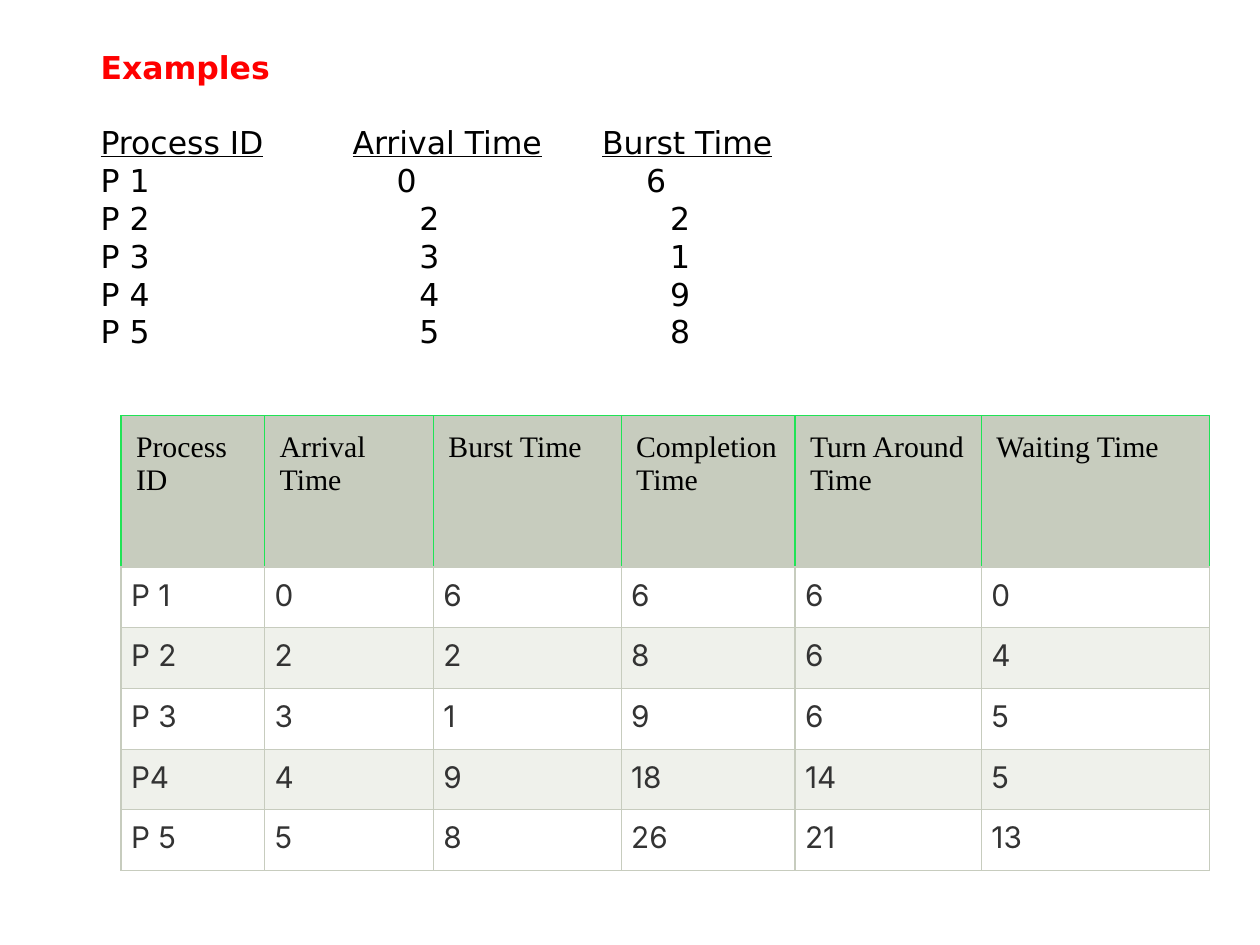
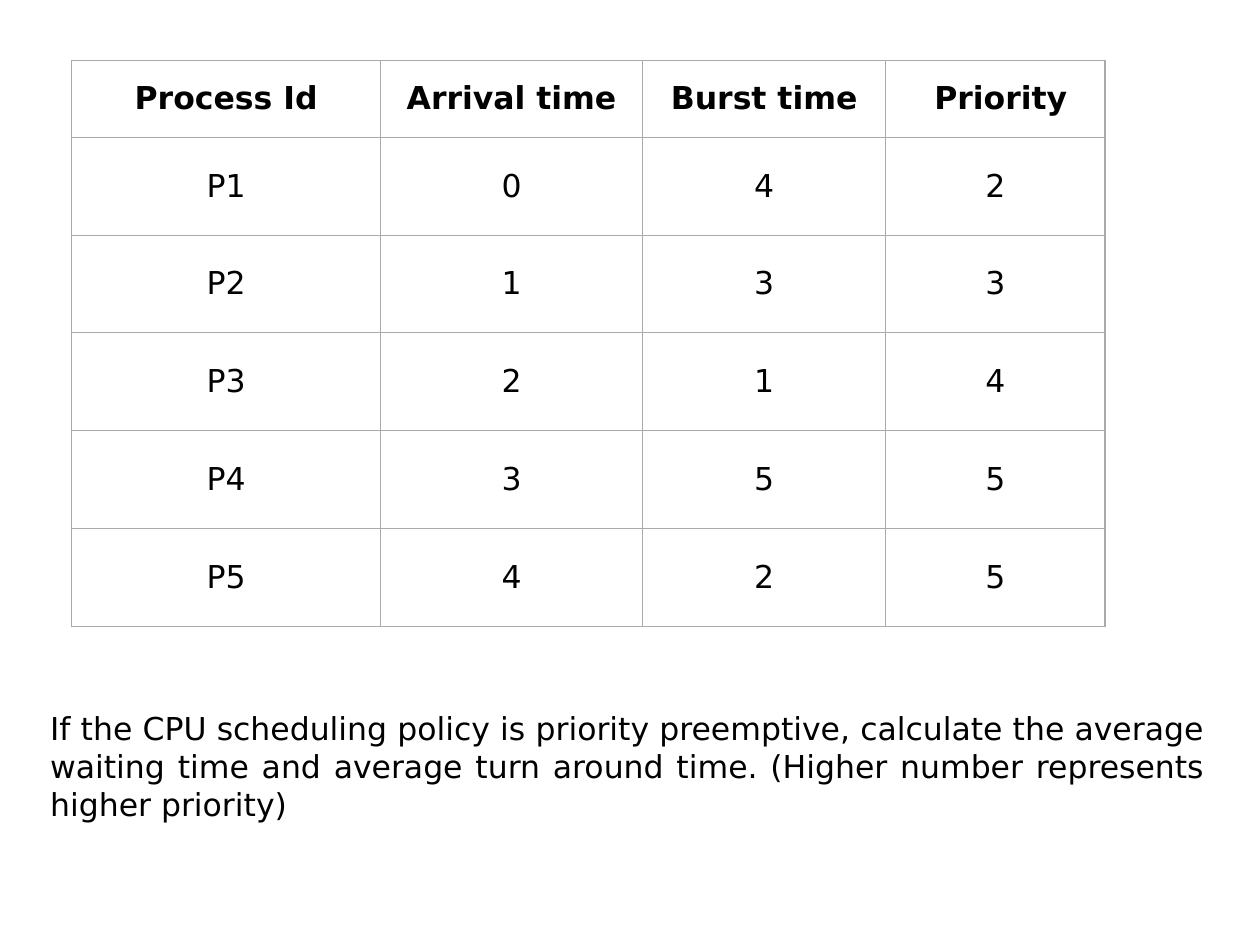
from dataclasses import dataclass

from lxml import etree
from pptx import Presentation
from pptx import util as u
from pptx.dml.color import RGBColor
from pptx.enum import text
from pptx.oxml.ns import qn

PX = 9144


def px(length):
    return u.Emu(round(length * PX))


@dataclass(frozen=True)
class TextStyle:
    font: str
    size: int
    color: str
    bold: bool = False


@dataclass(frozen=True)
class TableStyle:
    header: TextStyle
    body: TextStyle
    header_fill: str
    body_fills: tuple
    line: str
    header_line: str
    header_margins: tuple
    body_margins: tuple
    header_align: text.PP_ALIGN
    body_align: text.PP_ALIGN
    anchor: text.MSO_ANCHOR


class Theme:
    red, black, white, charcoal = "FF0000", "000000", "FFFFFF", "333333"
    sage, pale_sage, green, grey = "C7CCBE", "EFF1EB", "20E356", "AAAAAA"
    sans = "DejaVu Sans"
    text_size, table_size = 18, 17
    line_width = 0.75
    heading = TextStyle(sans, text_size, red, True)
    strong = TextStyle(sans, text_size, black, True)
    plain = TextStyle(sans, text_size, black)
    sage_table = TableStyle(
        header=TextStyle("Times New Roman", table_size, black),
        body=TextStyle("Inter", table_size, charcoal),
        header_fill=sage, body_fills=(white, pale_sage),
        line=sage, header_line=green,
        header_margins=(12, 12), body_margins=(8, 8),
        header_align=text.PP_ALIGN.LEFT, body_align=text.PP_ALIGN.JUSTIFY,
        anchor=text.MSO_ANCHOR.TOP)
    plain_table = TableStyle(
        header=strong, body=plain,
        header_fill=white, body_fills=(white,),
        line=grey, header_line=grey,
        header_margins=(10, 8), body_margins=(10, 8),
        header_align=text.PP_ALIGN.CENTER, body_align=text.PP_ALIGN.CENTER,
        anchor=text.MSO_ANCHOR.MIDDLE)


class Deck:
    def __init__(self, theme, width, height):
        self.theme = theme
        self.presentation = Presentation()
        self.presentation.slide_width = px(width)
        self.presentation.slide_height = px(height)
        self.slide = None

    def add_slide(self):
        self.slide = self.presentation.slides.add_slide(self.presentation.slide_layouts[6])
        fill = self.slide.background.fill
        fill.solid()
        fill.fore_color.rgb = RGBColor.from_string(self.theme.white)

    def add_run(self, paragraph, words, style, underline=False):
        run = paragraph.add_run()
        run.text = words
        font = run.font
        font.name, font.size, font.bold = style.font, u.Pt(style.size), style.bold
        font.color.rgb = RGBColor.from_string(style.color)
        font.underline = underline

    def add_text_box(self, left, top, width, height):
        shape = self.slide.shapes.add_textbox(*map(px, (left, top, width, height)))
        frame = shape.text_frame
        frame.word_wrap = True
        frame.auto_size = text.MSO_AUTO_SIZE.SHAPE_TO_FIT_TEXT
        return frame

    def set_tabs(self, paragraph, stops):
        properties = paragraph._p.get_or_add_pPr()
        tabs = etree.SubElement(properties, qn("a:tabLst"))
        for stop in stops:
            etree.SubElement(tabs, qn("a:tab"), pos=str(px(stop)), algn="l")

    def set_borders(self, cell, colors):
        properties = cell._tc.get_or_add_tcPr()
        for index, (side, color) in enumerate(zip("LRTB", colors)):
            line = etree.Element(qn(f"a:ln{side}"), w=str(u.Pt(self.theme.line_width)))
            fill = etree.SubElement(line, qn("a:solidFill"))
            etree.SubElement(fill, qn("a:srgbClr"), val=color)
            properties.insert(index, line)

    def fill_cell(self, cell, words, row, style):
        if row == 0:
            font, fill, align = style.header, style.header_fill, style.header_align
            margins, edge = style.header_margins, style.header_line
        else:
            font, align = style.body, style.body_align
            fill = style.body_fills[(row - 1) % len(style.body_fills)]
            margins, edge = style.body_margins, style.line
        cell.fill.solid()
        cell.fill.fore_color.rgb = RGBColor.from_string(fill)
        cell.margin_left = cell.margin_right = px(margins[0])
        cell.margin_top = cell.margin_bottom = px(margins[1])
        cell.vertical_anchor = style.anchor
        self.set_borders(cell, (edge, edge, edge, style.line))
        paragraph = cell.text_frame.paragraphs[0]
        paragraph.alignment = align
        self.add_run(paragraph, words, font)

    def add_table(self, left, top, height, header_height, widths, rows, style):
        shape = self.slide.shapes.add_table(
            len(rows), len(widths), px(left), px(top), px(sum(widths)), px(height))
        table = shape.table
        table.first_row = table.horz_banding = False
        for column, width in zip(table.columns, widths):
            column.width = px(width)
        body_height = (height - header_height) / (len(rows) - 1)
        for index, values in enumerate(rows):
            table.rows[index].height = px(body_height if index else header_height)
            for column, value in enumerate(values):
                self.fill_cell(table.cell(index, column), str(value), index, style)


def build_examples(deck):
    theme = deck.theme
    deck.add_slide()
    frame = deck.add_text_box(70, 33, 886, 252)
    heading = frame.paragraphs[0]
    heading.space_after = px(30)
    deck.add_run(heading, "Examples", theme.heading)

    labels = frame.add_paragraph()
    deck.set_tabs(labels, (153, 200, 398))
    for words, underline in (("Process ID\t", True), ("\t", False), ("Arrival Time", True),
                             ("\t", False), ("Burst Time", True)):
        deck.add_run(labels, words, theme.plain, underline)

    processes = [("P 1", 0, 6), ("P 2", 2, 2), ("P 3", 3, 1), ("P 4", 4, 9), ("P 5", 5, 8)]
    for index, process in enumerate(processes):
        paragraph = frame.add_paragraph()
        deck.set_tabs(paragraph, (253, 452) if index else (235, 433))
        deck.add_run(paragraph, "\t".join(map(str, process)), theme.plain)

    results = [
        ("Process ID", "Arrival Time", "Burst Time", "Completion Time",
         "Turn Around Time", "Waiting Time"),
        ("P 1", 0, 6, 6, 6, 0),
        ("P 2", 2, 2, 8, 6, 4),
        ("P 3", 3, 1, 9, 6, 5),
        ("P4", 4, 9, 18, 14, 5),
        ("P 5", 5, 8, 26, 21, 13),
    ]
    deck.add_table(96, 330, 361, 120, (114, 134, 149, 138, 148, 181), results, theme.sage_table)


def build_priority_question(deck):
    theme = deck.theme
    deck.add_slide()
    processes = [
        ("Process Id", "Arrival time", "Burst time", " Priority"),
        ("P1", 0, 4, 2),
        ("P2", 1, 3, 3),
        ("P3", 2, 1, 4),
        ("P4", 3, 5, 5),
        ("P5", 4, 2, 5),
    ]
    deck.add_table(57, 48, 449, 61, (245, 208, 193, 174), processes, theme.plain_table)
    question = deck.add_text_box(30, 558, 936, 101).paragraphs[0]
    question.alignment = text.PP_ALIGN.JUSTIFY
    deck.add_run(question, "If the CPU scheduling policy is priority preemptive, calculate the "
                 "average waiting time and average turn around time. (Higher number "
                 "represents higher priority)", theme.plain)


def main():
    deck = Deck(Theme, 1000, 750)
    build_examples(deck)
    build_priority_question(deck)
    deck.presentation.save("out.pptx")


if __name__ == "__main__":
    main()
